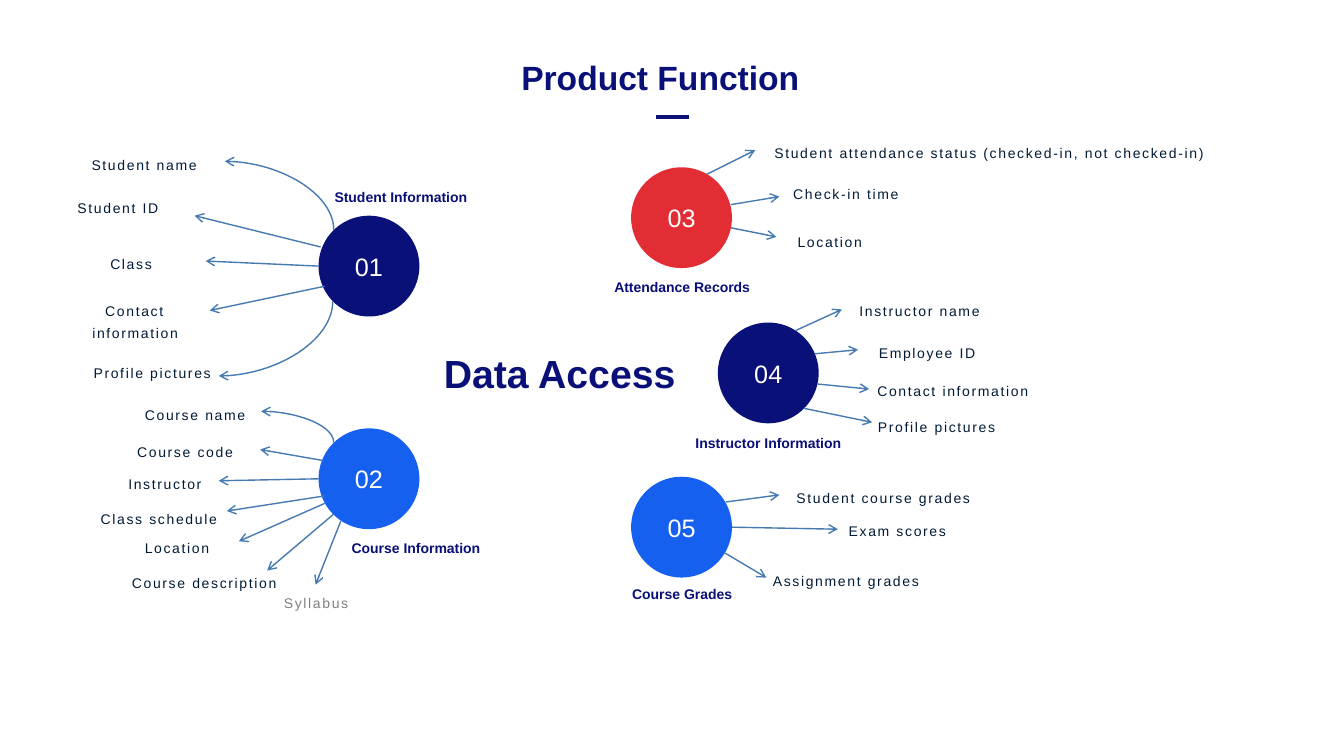
"""Build the Product Function slide: data access topics with their fields."""
from lxml import etree
from pptx import Presentation
from pptx.dml.color import RGBColor
from pptx.enum.shapes import MSO_CONNECTOR, MSO_SHAPE
from pptx.enum.text import MSO_ANCHOR, PP_ALIGN
from pptx.oxml.ns import qn
from pptx.util import Inches, Pt

STRAIGHT, CURVE = MSO_CONNECTOR.STRAIGHT, MSO_CONNECTOR.CURVE
OVAL = MSO_SHAPE.OVAL
TOP, MIDDLE = MSO_ANCHOR.TOP, MSO_ANCHOR.MIDDLE
LEFT, CENTER = PP_ALIGN.LEFT, PP_ALIGN.CENTER

NAVY, BLUE, RED, WHITE = "091077", "1560EE", "E22D35", "FFFFFF"
INK, GREY, ARROW = "001B36", "808080", "477AB1"
CIRCLE = 1
HEADING_H = 0.59

TITLE = ("Product Function", (5.07, 0.51, 3.19, 0.5))
CENTRE = ("Data Access", (2.65, 3.4, 5.8, 0.59))
RULE = ((6.51, 1.16), (6.83, 1.16))

# Each field: text, label corner, arrow start, arrow end, optional overrides
TOPICS = [
    {"number": "01", "color": NAVY, "at": (3.16, 2.14), "label": (1.5, 0.5),
     "heading": ("Student Information", 3.18, 1.66, 1.59),
     "fields": [
         ("Student name", (0.68, 1.36), (3.31, 2.28), (2.23, 1.6), {"kind": CURVE}),
         ("Student ID", (0.42, 1.79), (3.18, 2.45), (1.93, 2.14), {}),
         ("Class", (0.55, 2.34), (3.16, 2.64), (2.04, 2.59), {}),
         ("Contact information", (0.59, 2.92), (3.22, 2.84), (2.08, 3.08), {}),
         ("Profile pictures", (0.76, 3.42), (3.3, 2.99), (2.17, 3.73), {"kind": CURVE}),
     ]},
    {"number": "02", "color": BLUE, "at": (3.16, 4.25), "label": (1.91, 0.32),
     "heading": ("Course Information", 3.33, 5.14, 1.59),
     "fields": [
         ("Course name", (0.98, 3.93), (3.31, 4.39), (2.59, 4.08), {"kind": CURVE}),
         ("Course code", (0.88, 4.3), (3.21, 4.57), (2.58, 4.46), {}),
         ("Instructor", (0.68, 4.62), (3.16, 4.75), (2.17, 4.77), {}),
         ("Class schedule", (0.62, 4.96), (3.22, 4.92), (2.25, 5.07), {}),
         ("Location", (0.8, 5.25), (3.23, 4.99), (2.37, 5.37), {}),
         ("Course description", (1.07, 5.6), (3.31, 5.1), (2.65, 5.66), {}),
         ("Syllabus", (2.18, 5.8), (3.38, 5.17), (3.13, 5.8), {"color": GREY}),
     ]},
    {"number": "03", "color": RED, "at": (6.26, 1.66), "label": (2.06, 0.6),
     "heading": ("Attendance Records", 5.97, 2.55, 1.59),
     "fields": [
         ("Student attendance status (checked-in, not checked-in)",
          (7.09, 1.19), (7.01, 1.73), (7.49, 1.49), {"label": (5.44, 0.6)}),
         ("Check-in time", (7.36, 1.6), (7.25, 2.03), (7.73, 1.95), {}),
         ("Location", (7.2, 2.08), (7.25, 2.26), (7.7, 2.35), {}),
     ]},
    {"number": "04", "color": NAVY, "at": (7.12, 3.2), "label": (2.06, 0.6),
     "heading": ("Instructor Information", 6.72, 4.1, 1.8),
     "fields": [
         ("Instructor name", (8.09, 2.76), (7.89, 3.28), (8.35, 3.07), {}),
         ("Employee ID", (8.24, 3.32), (8.08, 3.51), (8.51, 3.47), {"label": (1.91, 0.32)}),
         ("Contact information", (8.42, 3.55), (8.11, 3.81), (8.62, 3.86), {}),
         ("Profile pictures", (8.26, 3.91), (7.97, 4.05), (8.65, 4.19), {}),
     ]},
    {"number": "05", "color": BLUE, "at": (6.26, 4.73), "label": (2.06, 0.6),
     "heading": ("Course Grades", 5.97, 5.6, 1.59),
     "fields": [
         ("Student course grades", (7.73, 4.57), (7.2, 4.98), (7.73, 4.91), {"label": (2.06, 0.68)}),
         ("Exam scores", (7.87, 4.94), (7.26, 5.23), (8.31, 5.25), {}),
         ("Assignment grades", (7.36, 5.44), (7.18, 5.48), (7.6, 5.73), {}),
     ]},
]


def rgb(color):
    return RGBColor.from_string(color)


def write(sp, text, size, color, bold=False, align=CENTER, anchor=MIDDLE):
    tf = sp.text_frame
    tf.word_wrap, tf.vertical_anchor = True, anchor
    p = tf.paragraphs[0]
    p.alignment = align
    r = p.add_run()
    r.text = text
    for name, value in {"name": "Arial", "size": Pt(size), "bold": bold}.items():
        setattr(r.font, name, value)
    r.font.color.rgb = rgb(color)
    return p, r


def add_text(s, text, box, size, color, bold=False):
    return write(s.shapes.add_textbox(*map(Inches, box)), text, size, color, bold)


def add_label(s, text, box, color):
    p, r = add_text(s, text, box, 10, color)
    p.line_spacing = 1.3
    r._r.get_or_add_rPr().set("spc", "120")


def add_line(s, start, end, color, width, kind=STRAIGHT):
    c = s.shapes.add_connector(kind, *map(Inches, start + end))
    c.line.color.rgb, c.line.width = rgb(color), Pt(width)
    etree.SubElement(c._element.spPr, qn("a:effectLst"))
    return c


def add_arrow(s, start, end, kind):
    if kind == CURVE:
        (x1, y1), (x2, y2) = start, end
        mid_x, mid_y = (x1 + x2) / 2, (y1 + y2) / 2
        half_w, half_h = (y2 - y1) / 2, abs(x2 - x1) / 2
        rising = y2 < y1
        left, right = mid_x - abs(half_w), mid_x + abs(half_w)
        top, bottom = mid_y - half_h, mid_y + half_h
        start, end = ((left, bottom), (right, top)) if rising else ((left, top), (right, bottom))
    c = add_line(s, start, end, ARROW, 1, kind)
    pr = c._element.spPr
    if kind == CURVE:
        pr.find(qn("a:xfrm")).set("rot", str((270 if rising else 90) * 60000))
        pr.find(qn("a:prstGeom")).set("prst", "curvedConnector2")
    etree.SubElement(pr.find(qn("a:ln")), qn("a:tailEnd"), type="arrow")


def add_topic(s, topic):
    sp = s.shapes.add_shape(OVAL, *map(Inches, topic["at"] + (CIRCLE, CIRCLE)))
    sp.shadow.inherit = False
    sp.fill.solid()
    sp.fill.fore_color.rgb = rgb(topic["color"])
    sp.line.fill.background()
    write(sp, topic["number"], 18, WHITE)
    text, *box = topic["heading"]
    add_text(s, text, (*box, HEADING_H), 10, NAVY, True)
    for text, corner, start, end, extra in topic["fields"]:
        add_label(s, text, corner + extra.get("label", topic["label"]), extra.get("color", INK))
        add_arrow(s, start, end, extra.get("kind", STRAIGHT))


def main():
    prs = Presentation()
    prs.slide_width, prs.slide_height = Inches(13.33), Inches(7.5)
    s = prs.slides.add_slide(prs.slide_layouts[5])
    title = s.shapes.title
    text, box = TITLE
    for name, value in zip(("left", "top", "width", "height"), box):
        setattr(title, name, Inches(value))
    write(title, text, 24, NAVY, True, LEFT, TOP)
    add_line(s, *RULE, NAVY, 2.5)
    add_text(s, *CENTRE, 28, NAVY, True)
    for topic in TOPICS:
        add_topic(s, topic)
    prs.save("out.pptx")


if __name__ == "__main__":
    main()
